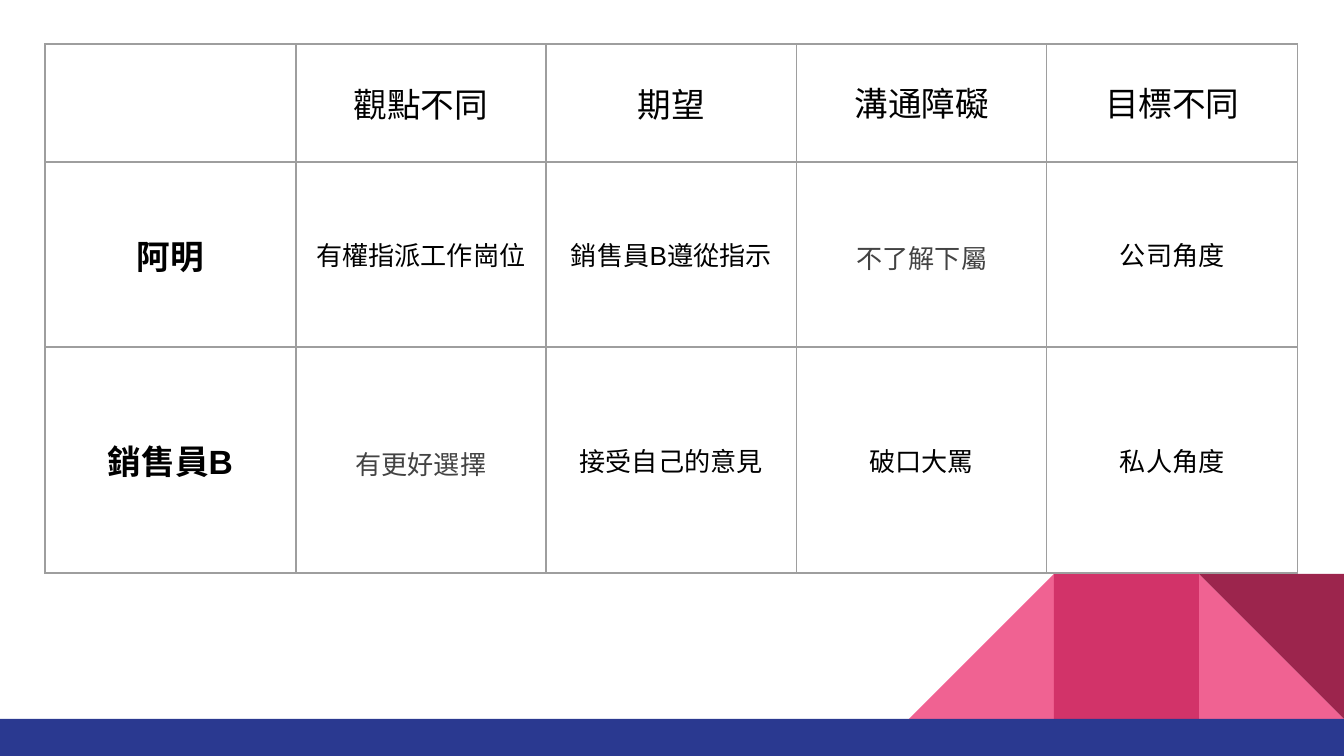
from lxml import etree
from pptx import Presentation
from pptx.dml.color import RGBColor
from pptx.enum.shapes import MSO_SHAPE
from pptx.enum.text import MSO_ANCHOR, PP_ALIGN
from pptx.oxml.ns import qn
from pptx.util import Pt

RECT, WEDGE = MSO_SHAPE.RECTANGLE, MSO_SHAPE.RIGHT_TRIANGLE
MIDDLE, CENTER = MSO_ANCHOR.MIDDLE, PP_ALIGN.CENTER
SCALE = 914400 / 134.4
WIDE, HIGH = 1344, 756
FONT = "Arial"
COLORS = {
    "black": "000000", "gray": "434343", "grid": "9E9E9E",
    "pink": "F06292", "rose": "D23369", "wine": "9C254D", "blue": "2A3990",
}
COLS = [251, 250, 251, 250, 251]
ROWS = [118, 185, 226]
CELLS = [
    ["", "觀點不同", "期望", "溝通障礙", "目標不同"],
    ["阿明", "有權指派工作崗位", "銷售員B遵從指示", "不了解下屬", "公司角度"],
    ["銷售員B", "有更好選擇", "接受自己的意見", "破口大罵", "私人角度"],
]
RAISED = {(0, 3), (0, 4)}
MUTED = {(1, 3), (2, 1)}


def px(n):
    """Turn pixels into EMU."""
    return round(n * SCALE)


def rgb(name):
    """Look up a colour by name."""
    return RGBColor.from_string(COLORS[name])


def add_block(slide, kind, box, color, turn=0, flip=False):
    """Add a plain filled shape."""
    shape = slide.shapes.add_shape(kind, *map(px, box))
    shape.shadow.inherit = False
    shape.fill.solid()
    shape.fill.fore_color.rgb = rgb(color)
    shape.line.fill.background()
    shape.rotation = turn
    if flip:
        shape.element.spPr.find(qn("a:xfrm")).set("flipH", "1")


def add_decor(slide):
    """Add the corner wedges and the bottom band."""
    side, base = 145, 719
    top = base - side
    left, mid, right = (WIDE - n * side for n in (3, 2, 1))
    add_block(slide, WEDGE, (right, top, side, side), "pink")
    add_block(slide, WEDGE, (left, top, side, side), "pink", flip=True)
    add_block(slide, RECT, (mid, top, side, side), "rose")
    add_block(slide, WEDGE, (right, top, side, side), "wine", turn=180)
    add_block(slide, RECT, (0, base, WIDE, HIGH - base), "blue")


def set_grid(cell):
    """Draw the four borders of a cell."""
    props = cell._tc.get_or_add_tcPr()
    for tag in ("a:lnL", "a:lnR", "a:lnT", "a:lnB"):
        line = etree.SubElement(props, qn(tag), w=str(Pt(0.75)))
        fill = etree.SubElement(line, qn("a:solidFill"))
        etree.SubElement(fill, qn("a:srgbClr"), val=COLORS["grid"])


def set_text(cell, text, row, col):
    """Write a cell's text and format it by its place."""
    para = cell.text_frame.paragraphs[0]
    para.text = text
    para.alignment = CENTER
    if (row, col) in RAISED:
        para.line_spacing, para.space_before = 0.9, Pt(10)
    if (row, col) in MUTED:
        para.line_spacing, para.space_after = 1.15, Pt(12)
    for run in para.runs:
        font = run.font
        font.name = FONT
        font.size = Pt(18 if row == 0 or col == 0 else 14)
        font.bold = col == 0
        font.color.rgb = rgb("gray" if (row, col) in MUTED else "black")


def add_grid(slide):
    """Add the comparison table."""
    box = (45, 44, sum(COLS), sum(ROWS))
    table = slide.shapes.add_table(len(ROWS), len(COLS), *map(px, box)).table
    table.first_row = table.horz_banding = False
    for col, width in zip(table.columns, COLS):
        col.width = px(width)
    for r, high in enumerate(ROWS):
        table.rows[r].height = px(high)
        for c, text in enumerate(CELLS[r]):
            cell = table.cell(r, c)
            cell.margin_left = cell.margin_right = px(13)
            cell.margin_top = cell.margin_bottom = px(13)
            cell.vertical_anchor = MIDDLE
            set_grid(cell)
            cell.fill.background()
            set_text(cell, text, r, c)


def main():
    """Build the slide and save it."""
    deck = Presentation()
    deck.slide_width, deck.slide_height = px(WIDE), px(HIGH)
    slide = deck.slides.add_slide(deck.slide_layouts[6])
    add_decor(slide)
    add_grid(slide)
    deck.save("out.pptx")


main()
